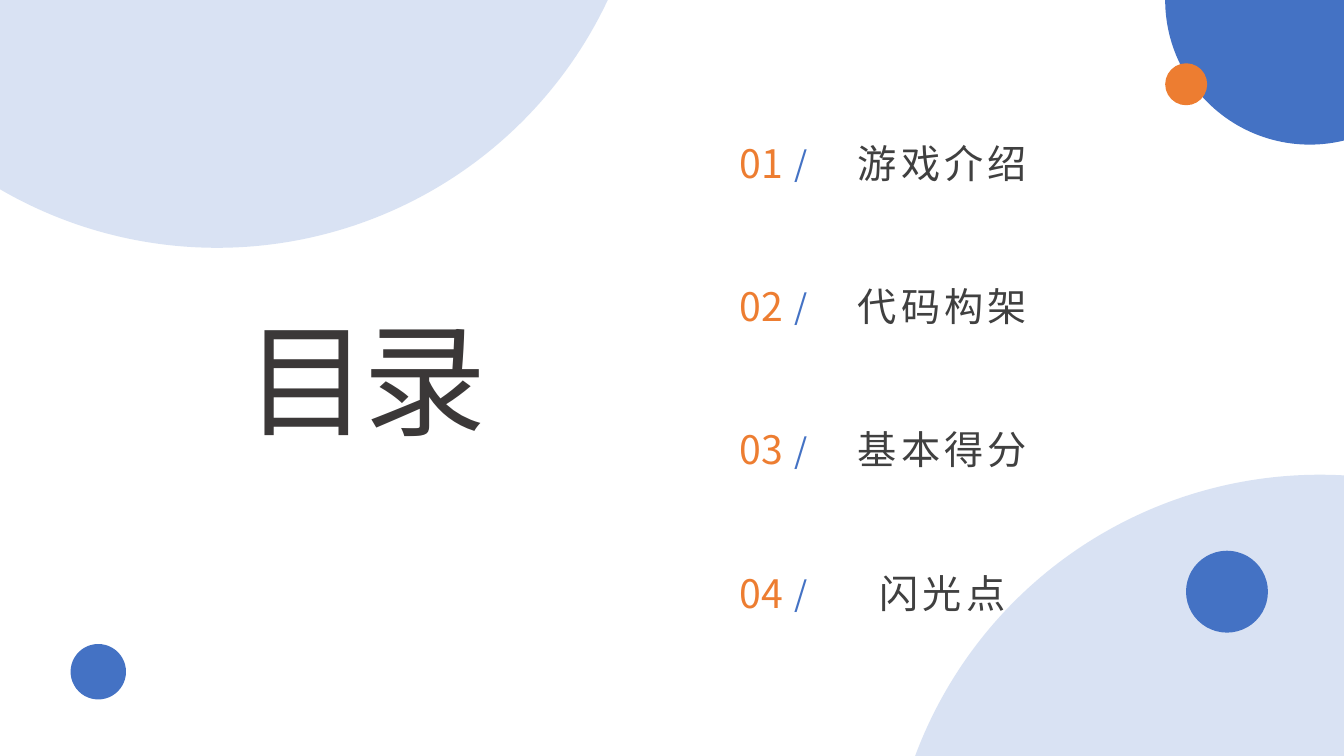
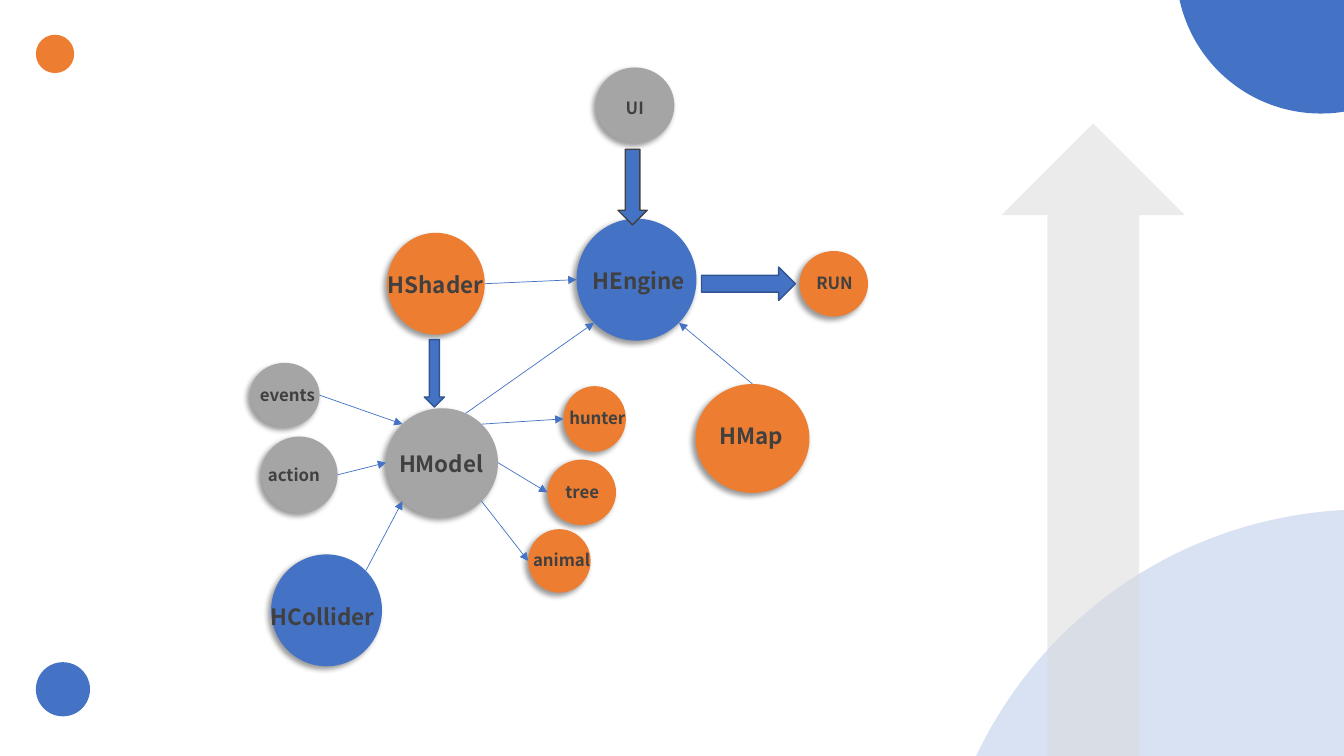
from math import cos, radians, sin

from lxml.etree import SubElement as Sub
from pptx import Presentation
from pptx.dml.color import RGBColor as Rgb
from pptx.enum.shapes import MSO_CONNECTOR as Conn, MSO_SHAPE as Geo
from pptx.enum.text import MSO_ANCHOR as Anchor, MSO_AUTO_SIZE as Fit, PP_ALIGN as Align
from pptx.oxml.ns import qn
from pptx.util import Pt

BLUE = Rgb(0x44, 0x72, 0xC4)
NAVY = Rgb(0x32, 0x54, 0x91)
ORANGE = Rgb(0xED, 0x7D, 0x31)
GRAY = Rgb(0xA5, 0xA5, 0xA5)
PALE = Rgb(0xD9, 0xD9, 0xD9)
DARK = Rgb(0x40, 0x40, 0x40)
INK = Rgb(0x3B, 0x38, 0x38)
FONT = "Noto Sans CJK SC"

TOPICS = ["游戏介绍", "代码构架", "基本得分", "闪光点"]

NODES = {
    "RUN": ((571, 179.3, 49, 46.8), ORANGE, 12, (5, 12.2)),
    "HCollider": ((193.7, 396, 79.2, 79.9), BLUE, 16, (-7.2, 31)),
    "HShader": ((276.5, 166.3, 69.8, 72.7), ORANGE, 16, (-6.5, 23.8)),
    "HModel": ((275.8, 291.6, 79.9, 77.8), GRAY, 16, (2.2, 26.6)),
    "HMap": ((496.8, 274.3, 81.4, 77.8), ORANGE, 16, (10, 23.8)),
    "HEngine": ((411.8, 156.2, 85.7, 87.1), BLUE, 16, (4.3, 31)),
    "hunter": ((402.5, 275.8, 44.6, 46.8), ORANGE, 12, (-2.9, 12.2)),
    "tree": ((391, 328.3, 49, 46.8), ORANGE, 12, (5.8, 12.2)),
    "animal": ((377.3, 378, 44.6, 45.4), ORANGE, 12, (-3.6, 10.8)),
    "events": ((178.6, 259.2, 49.7, 46.1), GRAY, 12, (0, 12.2)),
    "action": ((186.5, 311.8, 54.7, 54.7), GRAY, 12, (-2.2, 16.6)),
    "UI": ((425.5, 48.2, 56.2, 54), GRAY, 12, (14.4, 18)),
}

LINKS = [
    ("HCollider", 45, "HModel", 225),
    ("HModel", 65, "HEngine", 225),
    ("HMap", 90, "HEngine", 315),
    ("HModel", 315, "animal", 180),
    ("HModel", 0, "tree", 180),
    ("HModel", 45, "hunter", 180),
    ("action", 0, "HModel", 180),
    ("events", 0, "HModel", 135),
    ("HShader", 0, "HEngine", 180),
]

ARROWS = [
    (Geo.DOWN_ARROW, (303.1, 242.6, 14.4, 48.2), NAVY),
    (Geo.DOWN_ARROW, (441.4, 106.6, 20.9, 54), DARK),
    (Geo.RIGHT_ARROW, (501.1, 190.8, 67, 23.8), NAVY),
]


def write(frame, text, size, color, bold=False, gap=0, align=Align.LEFT, wrap=True):
    """Fill a text frame with one formatted paragraph."""
    frame.word_wrap = wrap
    frame.auto_size = Fit.NONE
    frame.vertical_anchor = Anchor.TOP
    para = frame.paragraphs[0]
    para.alignment = align
    run = para.add_run()
    run.text = text
    font = run.font
    font.size, font.bold, font.name = Pt(size), bold, FONT
    font.color.rgb = color
    props = run._r.get_or_add_rPr()
    props.set("spc", str(gap * 100))
    Sub(props, qn("a:ea"), typeface=FONT)


def label(slide, box, text, size, color, **style):
    """Add a text box."""
    area = slide.shapes.add_textbox(*map(Pt, box))
    write(area.text_frame, text, size, color, **style)


def draw(slide, geo, box, color, alpha=100, edge=None):
    """Add a flat preset shape."""
    shape = slide.shapes.add_shape(geo, *map(Pt, box))
    shape.shadow.inherit = False
    shape.fill.solid()
    shape.fill.fore_color.rgb = color
    if alpha < 100:
        tint = shape._element.spPr.find(".//" + qn("a:srgbClr"))
        Sub(tint, qn("a:alpha"), val=str(alpha * 1000))
    if edge is None:
        shape.line.fill.background()
    else:
        shape.line.color.rgb = edge
        shape.line.width = Pt(1)
    return shape


def orbs(slide, items):
    """Scatter round decorations given as left, top, diameter, colour, alpha."""
    for left, top, size, color, alpha in items:
        draw(slide, Geo.FLOWCHART_CONNECTOR, (left, top, size, size), color, alpha)


def node(slide, name):
    """Draw a shadowed disc with its label."""
    box, color, size, (dx, dy) = NODES[name]
    disc = draw(slide, Geo.OVAL, box, color)
    fx = disc._element.spPr.find(qn("a:effectLst"))
    shade = Sub(fx, qn("a:outerShdw"), blurRad=str(Pt(4)), dist=str(Pt(3)),
                dir="8100000", algn="tr", rotWithShape="0")
    tint = Sub(shade, qn("a:srgbClr"), val="000000")
    Sub(tint, qn("a:alpha"), val="40000")
    label(slide, (box[0] + dx, box[1] + dy, 100, 27), name, size, DARK, bold=True)


def rim(name, angle):
    """Return the point on a disc's rim at an angle in degrees."""
    left, top, wide, high = NODES[name][0]
    turn = radians(angle)
    return Pt(left + wide / 2 * (1 + cos(turn))), Pt(top + high / 2 * (1 - sin(turn)))


def link(slide, start, out, end, into):
    """Join two discs with a thin arrow."""
    line = slide.shapes.add_connector(Conn.STRAIGHT, *rim(start, out), *rim(end, into))
    line.line.color.rgb = BLUE
    line.line.width = Pt(0.5)
    props = line._element.spPr
    Sub(props.find(qn("a:ln")), qn("a:tailEnd"), type="triangle")
    Sub(props, qn("a:effectLst"))


def topic(slide, left, top, index, text):
    """Place one numbered row of the contents list."""
    mid = {"align": Align.CENTER, "wrap": False}
    label(slide, (left, top, 46, 41), f"{index:02}", 28, ORANGE, **mid)
    label(slide, (left + 38.2, top + 2.7, 27.4, 36), "/", 24, BLUE, gap=3, **mid)
    label(slide, (left + 82.8, top, 139.7, 41), text, 28, DARK, gap=3, **mid)


def agenda(deck):
    """Build the contents slide."""
    slide = deck.slides.add_slide(deck.slide_layouts[5])
    orbs(slide, [
        (634.3, 339.1, 617, BLUE, 20),
        (832.3, -103.3, 206.6, BLUE, 100),
        (50.4, 460, 39.6, BLUE, 100),
        (-153.4, -440, 617, BLUE, 20),
        (832.3, 45.2, 30, ORANGE, 100),
        (847.2, 393.4, 58.5, BLUE, 100),
    ])
    for index, text in enumerate(TOPICS):
        topic(slide, 520.6, 95.8 + 102.4 * index, index + 1, text)
    title = slide.shapes.title
    title.left, title.top, title.width, title.height = map(Pt, (167.8, 213.1, 202.3, 113.8))
    write(title.text_frame, "目录", 88, INK, gap=-3, align=Align.JUSTIFY)


def diagram(deck):
    """Build the code structure slide."""
    slide = deck.slides.add_slide(deck.slide_layouts[6])
    orbs(slide, [
        (667.4, 363.9, 617, BLUE, 20),
        (840.2, -125.5, 206.6, BLUE, 100),
        (25.6, 473, 38.7, BLUE, 100),
        (25.6, 24.8, 27.4, ORANGE, 100),
    ])
    tower = draw(slide, Geo.NOTCHED_RIGHT_ARROW, (509.8, 293.8, 542.2, 131), PALE, 50)
    tower.rotation = 270
    for name in NODES:
        node(slide, name)
    for ends in LINKS:
        link(slide, *ends)
    for geo, box, edge in ARROWS:
        draw(slide, geo, box, BLUE, edge=edge)


def main():
    """Make and save the deck."""
    deck = Presentation()
    deck.slide_width, deck.slide_height = Pt(960), Pt(540)
    agenda(deck)
    diagram(deck)
    deck.save("out.pptx")


if __name__ == "__main__":
    main()
